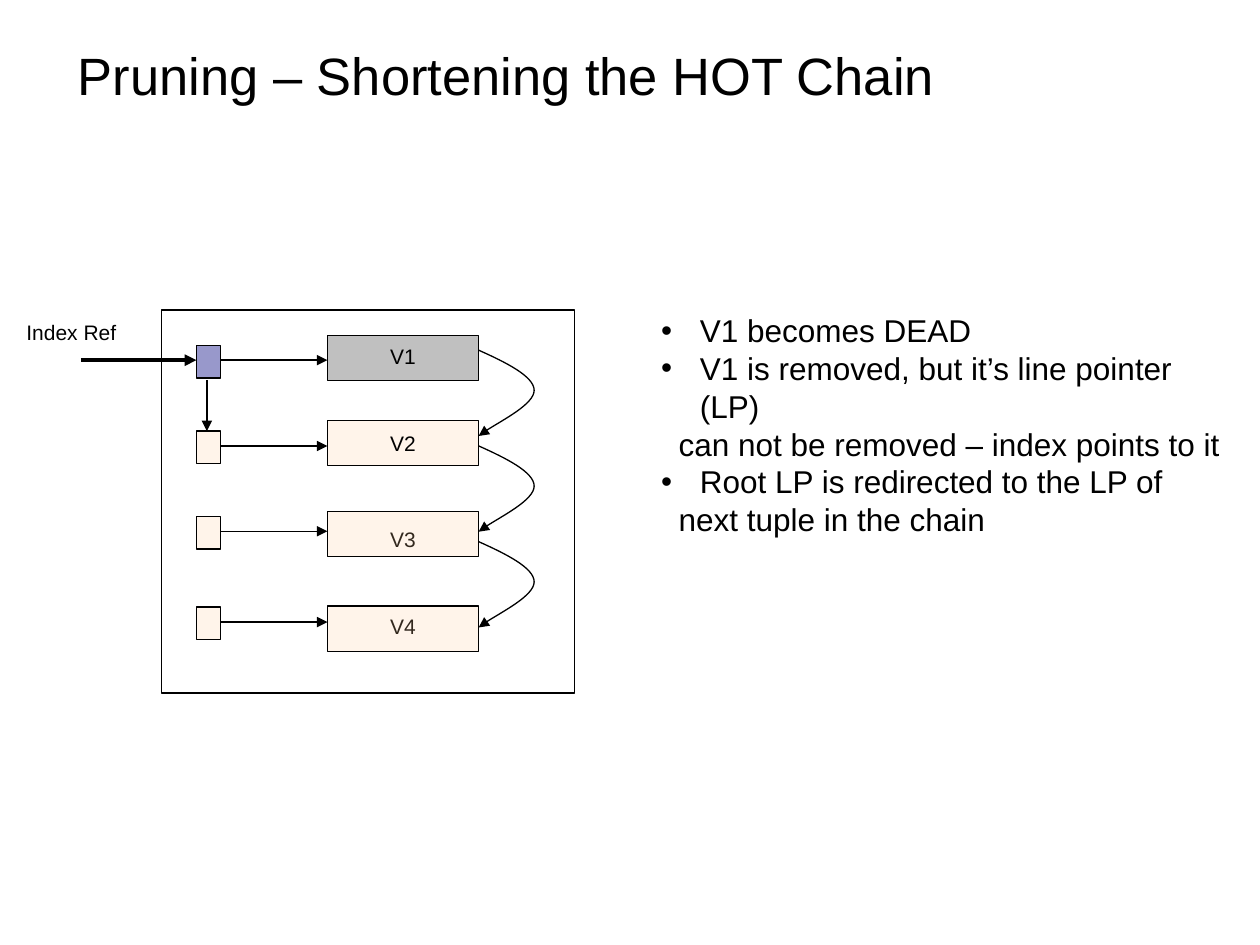
import pptx
import pptx.dml.color
import pptx.enum.shapes
import pptx.enum.text
import pptx.oxml.ns
import pptx.util
from lxml import etree

Cm = pptx.util.Cm
Pt = pptx.util.Pt
qn = pptx.oxml.ns.qn
ALIGN = pptx.enum.text.PP_ALIGN

TITLE = "Pruning – Shortening the HOT Chain"
INDEX_LABEL = "Index Ref"
NOTES = [
    ("V1 becomes DEAD", True),
    ("V1 is removed, but it’s line pointer (LP)", True),
    ("can not be removed – index points to it", False),
    ("Root LP is redirected to the LP of", True),
    ("next tuple in the chain", False),
]
LIVE = ("FFCC99", 20)
REDIRECT = ("333399", 50)
DEAD = ("C0C0C0", 100)
VERSIONS = [
    dict(name="V1", pointer_top=6.96, tuple_top=6.76, name_top=6.81,
         pointer_fill=REDIRECT, tuple_fill=DEAD, name_behind=False),
    dict(name="V2", pointer_top=8.69, tuple_top=8.48, name_top=8.56,
         pointer_fill=LIVE, tuple_fill=LIVE, name_behind=False),
    dict(name="V3", pointer_top=10.41, tuple_top=10.31, name_top=10.49,
         pointer_fill=LIVE, tuple_fill=LIVE, name_behind=True),
    dict(name="V4", pointer_top=12.24, tuple_top=12.22, name_top=12.24,
         pointer_fill=LIVE, tuple_fill=LIVE, name_behind=True),
]
PAGE = (3.25, 6.25, 8.33, 7.72)
POINTER_LEFT, POINTER_WIDTH, POINTER_HEIGHT = 3.96, 0.48, 0.66
TUPLE_LEFT, TUPLE_WIDTH, TUPLE_HEIGHT = 6.6, 3.05, 0.91
NAME_WIDTH, LABEL_HEIGHT = 1.02, 0.76
ARROW_DROP = 0.3
CHAIN_TOP, CHAIN_STEP = 7.06, 1.93
CHAIN_CURVES = [
    [(0.56, 0.25), (1.12, 0.53), (1.12, 0.81)],
    [(1.12, 1.09), (0.18, 1.57), (0, 1.73)],
]


def color(value):
    return pptx.dml.color.RGBColor.from_string(value)


def add_xml(parent, tag, **attributes):
    child = etree.SubElement(parent, qn(tag))
    for key, value in attributes.items():
        child.set(key, str(value))
    return child


def style_line(shape, weight=0.75, arrow=False):
    shape.line.color.rgb = color("000000")
    shape.line.width = Pt(weight)
    if arrow:
        add_xml(shape._element.spPr.find(qn("a:ln")), "a:tailEnd", type="triangle")


def add_box(left, top, width, height, fill=None):
    box = slide.shapes.add_shape(pptx.enum.shapes.MSO_SHAPE.RECTANGLE,
                                 Cm(left), Cm(top), Cm(width), Cm(height))
    box.shadow.inherit = False
    style_line(box)
    if fill is None:
        box.fill.background()
        return
    value, opacity = fill
    box.fill.solid()
    box.fill.fore_color.rgb = color(value)
    if opacity < 100:
        solid = box._element.spPr.find(qn("a:solidFill"))
        add_xml(solid[0], "a:alpha", val=opacity * 1000)


def add_arrow(start_x, start_y, end_x, end_y, weight=0.75):
    arrow = slide.shapes.add_connector(pptx.enum.shapes.MSO_CONNECTOR.STRAIGHT,
                                       Cm(start_x), Cm(start_y), Cm(end_x), Cm(end_y))
    style_line(arrow, weight, arrow=True)
    add_xml(arrow._element.spPr, "a:effectLst")


def add_chain_link(left, top):
    corners = [curve[-1] for curve in CHAIN_CURVES]
    builder = slide.shapes.build_freeform(Cm(left), Cm(top))
    builder.add_line_segments([(Cm(left + x), Cm(top + y)) for x, y in corners], close=False)
    link = builder.convert_to_shape()
    link.shadow.inherit = False
    link.fill.background()
    style_line(link, arrow=True)
    for segment, curve in zip(list(link._element.iter(qn("a:lnTo"))), CHAIN_CURVES):
        bezier = etree.Element(qn("a:cubicBezTo"))
        for x, y in curve:
            add_xml(bezier, "a:pt", x=int(Cm(x)), y=int(Cm(y)))
        segment.getparent().replace(segment, bezier)


def add_text(left, top, width, height, lines, size, align=ALIGN.LEFT, wrap=True):
    frame = slide.shapes.add_textbox(Cm(left), Cm(top), Cm(width), Cm(height)).text_frame
    frame.word_wrap = wrap
    frame.text = "\n".join(lines)
    for paragraph in frame.paragraphs:
        paragraph.alignment = align
        for run in paragraph.runs:
            run.font.name = "Arial"
            run.font.size = Pt(size)
            run.font.color.rgb = color("000000")
    return frame


def add_label(center, top, width, label):
    add_text(center - width / 2, top, width, LABEL_HEIGHT, [label], 12, ALIGN.CENTER, wrap=False)


def add_version(version):
    arrow_y = version["pointer_top"] + ARROW_DROP
    name = (TUPLE_LEFT + TUPLE_WIDTH / 2, version["name_top"], NAME_WIDTH, version["name"])
    add_box(POINTER_LEFT, version["pointer_top"], POINTER_WIDTH, POINTER_HEIGHT,
            version["pointer_fill"])
    add_arrow(POINTER_LEFT + POINTER_WIDTH, arrow_y, TUPLE_LEFT, arrow_y)
    if version["name_behind"]:
        add_label(*name)
    add_box(TUPLE_LEFT, version["tuple_top"], TUPLE_WIDTH, TUPLE_HEIGHT, version["tuple_fill"])
    if not version["name_behind"]:
        add_label(*name)


def add_notes():
    frame = add_text(13.08, 6.15, 11.81, 4.83, [text for text, _ in NOTES], 18)
    for paragraph, (_, bulleted) in zip(frame.paragraphs, NOTES):
        properties = paragraph._p.get_or_add_pPr()
        properties.set("marL", str(int(Cm(0.78 if bulleted else 0.35))))
        properties.set("indent", str(int(Cm(-0.78 if bulleted else 0))))
        if bulleted:
            add_xml(add_xml(properties, "a:buClr"), "a:srgbClr", val="000000")
            add_xml(properties, "a:buFont", typeface="Arial")
            add_xml(properties, "a:buChar", char="•")
        else:
            add_xml(properties, "a:buNone")


deck = pptx.Presentation()
deck.slide_width, deck.slide_height = Cm(25.4), Cm(19.05)
slide = deck.slides.add_slide(deck.slide_layouts[6])

title = add_text(1.32, 0.13, 22.28, 2.13, [TITLE], 30)
title.vertical_anchor = pptx.enum.text.MSO_ANCHOR.BOTTOM

add_box(*PAGE)
for version in VERSIONS:
    add_version(version)
for step in range(len(VERSIONS) - 1):
    add_chain_link(TUPLE_LEFT + TUPLE_WIDTH, CHAIN_TOP + step * CHAIN_STEP)

root, successor = VERSIONS[:2]
index_y = root["pointer_top"] + ARROW_DROP
add_label(1.44, 6.32, 2.6, INDEX_LABEL)
add_arrow(1.63, index_y, POINTER_LEFT, index_y, 2.25)
add_arrow(4.17, root["pointer_top"] + POINTER_HEIGHT + 0.05, 4.17, successor["pointer_top"])
add_notes()

deck.save("out.pptx")
